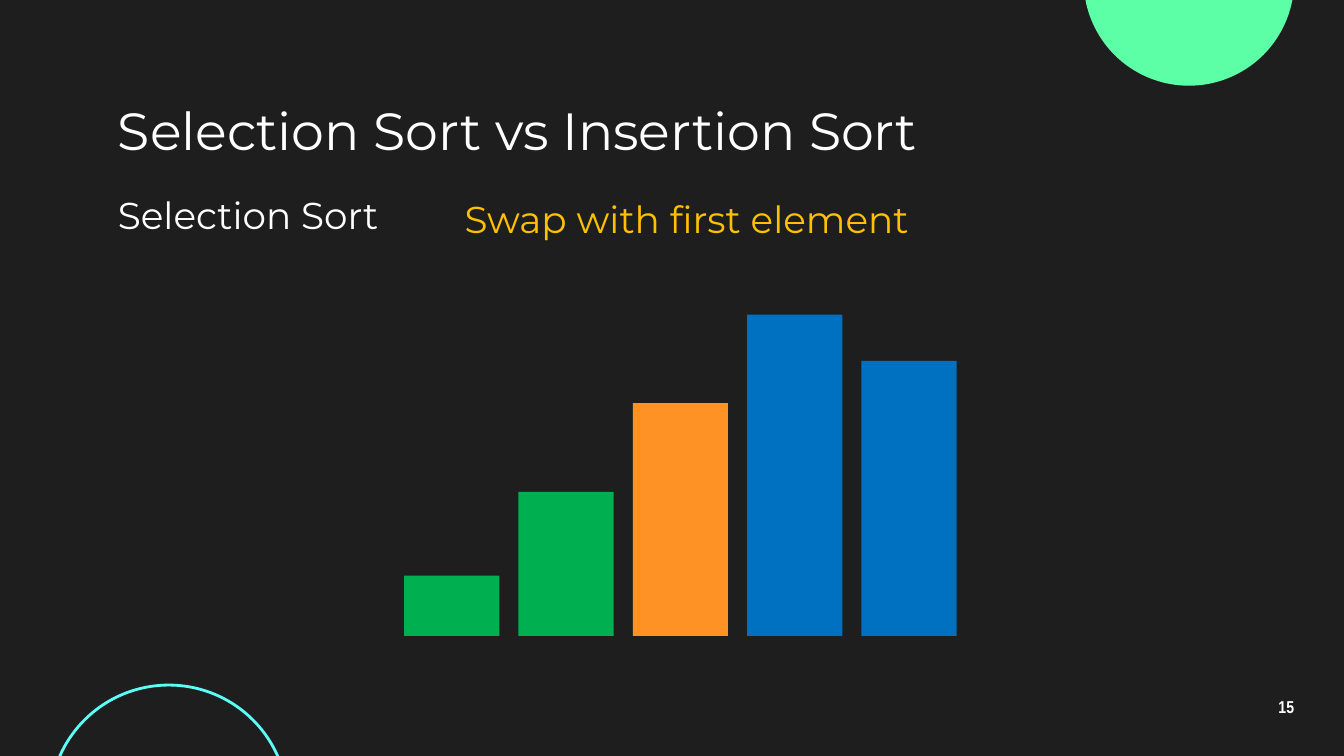
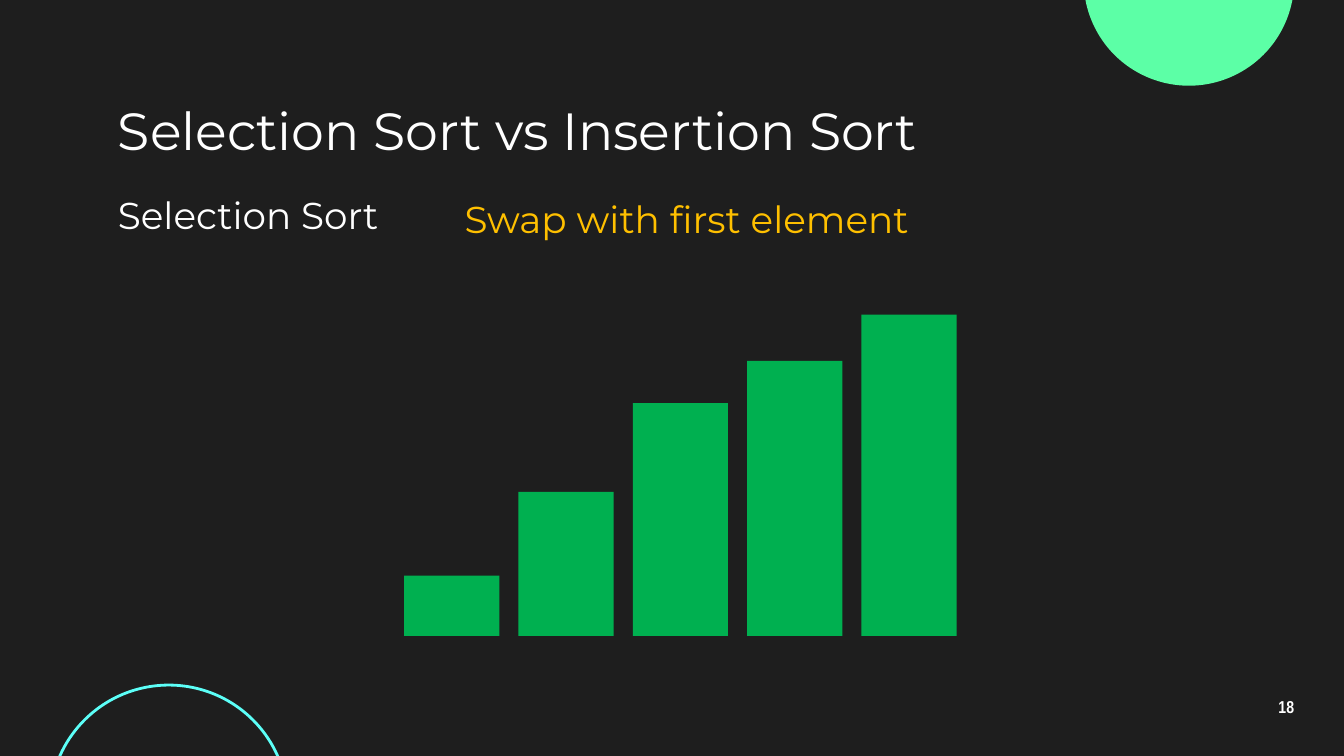
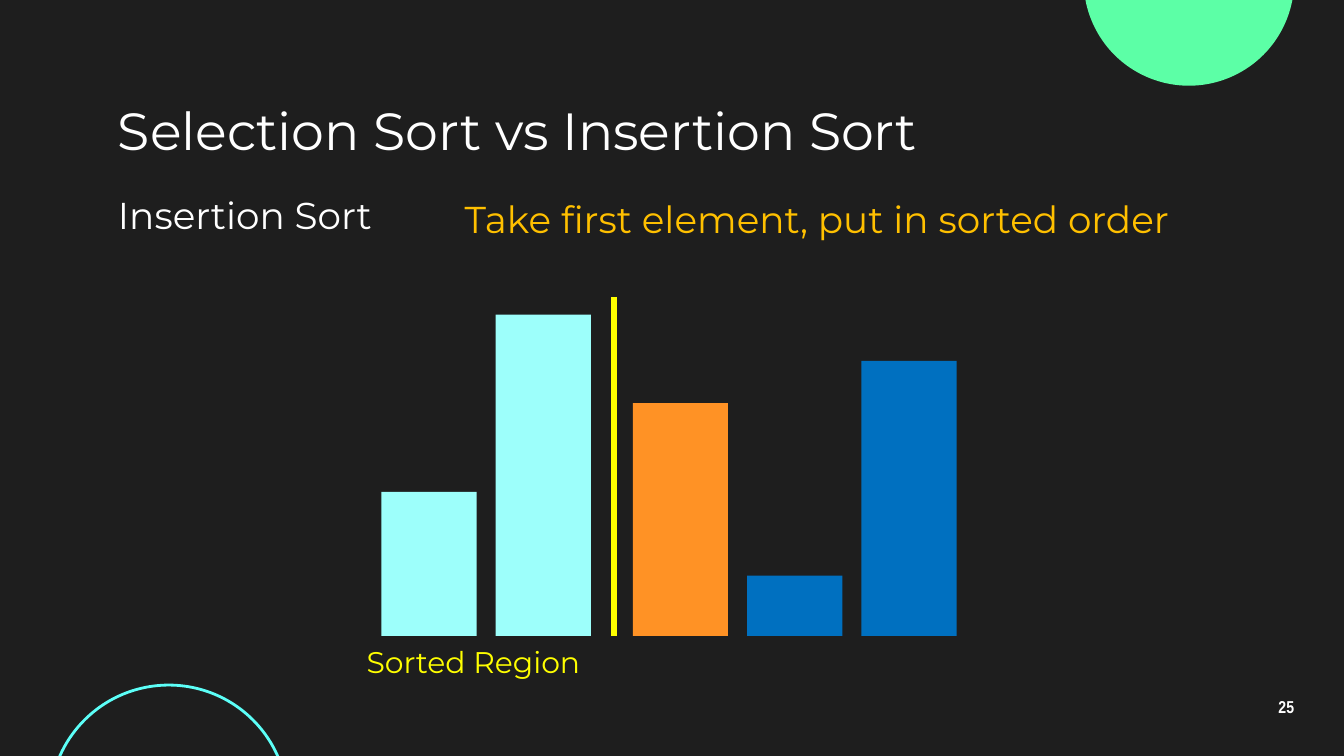
from lxml.etree import SubElement
from pptx import Presentation
from pptx.dml.color import RGBColor
from pptx.enum.shapes import MSO_CONNECTOR, MSO_SHAPE
from pptx.enum.text import MSO_ANCHOR, MSO_AUTO_SIZE, PP_ALIGN
from pptx.oxml.ns import qn
from pptx.util import Cm, Pt

CHARCOAL = RGBColor(0x1E, 0x1E, 0x1E)
WHITE = RGBColor(0xFF, 0xFF, 0xFF)
MINT = RGBColor(0x5C, 0xFF, 0xA6)
CYAN = RGBColor(0x5C, 0xFF, 0xF8)
PALE_CYAN = RGBColor(0x9D, 0xFF, 0xFB)
GREEN = RGBColor(0x00, 0xB0, 0x50)
BLUE = RGBColor(0x00, 0x70, 0xC0)
ORANGE = RGBColor(0xFF, 0x92, 0x25)
AMBER = RGBColor(0xFF, 0xC0, 0x00)
YELLOW = RGBColor(0xFF, 0xFF, 0x00)

TEXT_FONT = "Montserrat"
NUMBER_FONT = "Arial Narrow"
TITLE = "Selection Sort vs Insertion Sort"

TITLE_BOX = (1.98, 1.8, 21.44, 1.3)
METHOD_BOX = (1.98, 3.38, 16.48, 1.47)
STEP_BOX = (8.53, 3.45, 14.58, 1.22)
NUMBER_BOX = (23.55, 12.95, 1.52, 0.86)
CHART_BOX = (7.64, 5.95, 10.44, 6.07)

BAR_HEIGHTS = {1: 1.14, 2: 2.72, 3: 4.4, 4: 5.2, 5: 6.07}
BAR_WIDTH = 1.8
BAR_PITCH = 2.16
SORTED_SHIFT = 0.43


def place(shape, box):
    shape.left, shape.top, shape.width, shape.height = map(Cm, box)


def write(shape, text, size, color, font=TEXT_FONT, anchor=MSO_ANCHOR.TOP):
    frame = shape.text_frame
    frame.word_wrap = True
    frame.auto_size = MSO_AUTO_SIZE.NONE
    frame.vertical_anchor = anchor
    frame.margin_left = frame.margin_right = Cm(0.25)
    frame.margin_top = frame.margin_bottom = Cm(0.25)
    frame.text = text
    para = frame.paragraphs[0]
    para.alignment = PP_ALIGN.LEFT
    para.font.name = font
    para.font.size = Pt(size)
    para.font.color.rgb = color
    return para


def add_text(page, box, text, size, color, **style):
    return write(page.shapes.add_textbox(*map(Cm, box)), text, size, color, **style)


def add_solid(page, kind, box, color):
    shape = page.shapes.add_shape(kind, *map(Cm, box))
    shape.shadow.inherit = False
    shape.fill.solid()
    shape.fill.fore_color.rgb = color
    shape.line.fill.background()
    return shape


def decorate_master(master, page):
    master.background.fill.solid()
    master.background.fill.fore_color.rgb = CHARCOAL
    disc = add_solid(page, MSO_SHAPE.OVAL, (20.48, -2.36, 3.98, 3.98), MINT)
    ring = add_solid(page, MSO_SHAPE.OVAL, (0.94, 12.95, 4.5, 4.5), CYAN)
    ring.fill.background()
    ring.line.color.rgb = CYAN
    ring.line.width = Pt(1.5)
    for circle in (disc, ring):
        master.element.cSld.spTree.append(circle.element)


def add_header(page, method, step, number):
    place(page.shapes.title, TITLE_BOX)
    write(page.shapes.title, TITLE, 28, WHITE, anchor=MSO_ANCHOR.MIDDLE)
    add_text(page, METHOD_BOX, method, 20, WHITE)
    add_text(page, STEP_BOX, step, 20, AMBER)
    para = add_text(page, NUMBER_BOX, str(number), 9.2, WHITE,
                    font=NUMBER_FONT, anchor=MSO_ANCHOR.MIDDLE)
    para.alignment = PP_ALIGN.CENTER
    para.line_spacing = 0.9
    para.font.bold = True


def add_bars(page, box, ranks, colors, shifted=0):
    left, top, width, height = box
    for index, (rank, color) in enumerate(zip(ranks, colors)):
        bar_left = left + index * BAR_PITCH - (SORTED_SHIFT if index < shifted else 0)
        bar_height = BAR_HEIGHTS[rank]
        add_solid(page, MSO_SHAPE.RECTANGLE,
                  (bar_left, top + height - bar_height, BAR_WIDTH, bar_height), color)


def add_sorted_region(page, box):
    left, top, width, height = box
    divider_left = Cm(left + 3.96)
    divider = page.shapes.add_connector(MSO_CONNECTOR.STRAIGHT, divider_left, Cm(top - 0.34),
                                        divider_left, Cm(top + height))
    divider.line.color.rgb = YELLOW
    divider.line.width = Pt(3)
    SubElement(divider.element.spPr, qn("a:effectLst"))
    add_text(page, (left - 0.96, top + height - 0.1, 6.83, 1.47), "Sorted Region", 16, YELLOW)


def add_sort_page(deck, method, step, number, ranks, colors, shifted=0):
    page = deck.slides.add_slide(deck.slide_layouts[5])
    add_header(page, method, step, number)
    add_bars(page, CHART_BOX, ranks, colors, shifted)
    return page


def main():
    deck = Presentation()
    deck.slide_width, deck.slide_height = Cm(25.4), Cm(14.29)
    selection = ("Selection Sort", "Swap with first element")
    insertion = ("Insertion Sort", "Take first element, put in sorted order")

    swap_page = add_sort_page(deck, *selection, 15, (1, 2, 3, 5, 4),
                              (GREEN, GREEN, ORANGE, BLUE, BLUE))
    decorate_master(deck.slide_master, swap_page)
    add_sort_page(deck, *selection, 18, (1, 2, 3, 4, 5), [GREEN] * 5)
    insert_page = add_sort_page(deck, *insertion, 25, (2, 5, 3, 1, 4),
                                (PALE_CYAN, PALE_CYAN, ORANGE, BLUE, BLUE), shifted=2)
    add_sorted_region(insert_page, CHART_BOX)
    deck.save("out.pptx")


if __name__ == "__main__":
    main()
